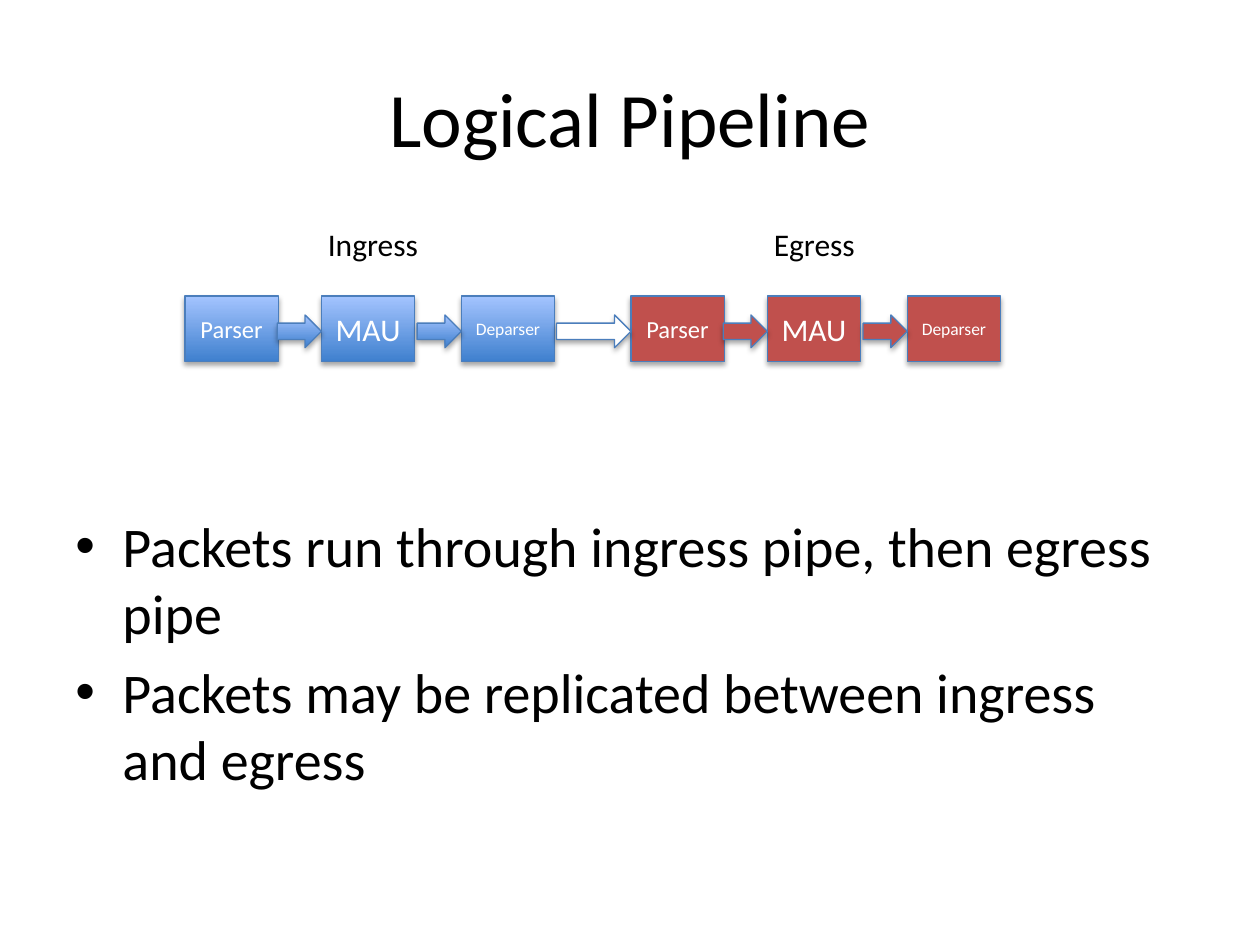
import pptx
import pptx.util
import pptx.dml.color
import pptx.enum.shapes
import pptx.enum.text
import pptx.oxml
import pptx.oxml.ns

Cm, Pt = pptx.util.Cm, pptx.util.Pt
Kind = pptx.enum.shapes.MSO_SHAPE
Align = pptx.enum.text.PP_ALIGN
Anchor = pptx.enum.text.MSO_ANCHOR

THEME = {
    "font": "Calibri",
    "text": "000000", "white": "FFFFFF", "line": "4B7EBC",
    "blue": ("3F80CE", "A4C4FF"), "red": "C0504D",
    "title": 44, "body": 32, "label": 18,
}
TITLE = "Logical Pipeline"
POINTS = [
    "Packets run through ingress pipe, then egress pipe",
    "Packets may be replicated between ingress and egress",
]
STAGES = [("Parser", 14, 0), ("MAU", 18, 2.75), ("Deparser", 10, 5.57)]
PIPES = [
    {"name": "Ingress", "left": 3.73, "fill": "blue", "wide": 2.36},
    {"name": "Egress", "left": 12.72, "fill": "red", "wide": 2.18},
]
BOX_TOP, BOX_W, BOX_H = 5.97, 1.88, 1.32
ARROW_TOP, ARROW_W, ARROW_H, LINK_W = 6.35, 0.89, 0.66, 1.5
LABEL_TOP, LABEL_H, LABEL_IN = 4.42, 1.02, 2.63
NS = pptx.oxml.ns.nsdecls("a")
SHADOW = (
    f'<a:outerShdw {NS} blurRad="{Pt(3.1)}" dist="{Pt(1.8)}" dir="5400000" rotWithShape="0">'
    '<a:srgbClr val="000000"><a:alpha val="35000"/></a:srgbClr></a:outerShdw>'
)
BULLET = (
    f'<a:spcBef {NS}><a:spcPct val="20000"/></a:spcBef>',
    f'<a:buFont {NS} typeface="Arial"/>',
    f'<a:buChar {NS} char="&#8226;"/>',
)


def rgb(code):
    return pptx.dml.color.RGBColor.from_string(code)


def style(frame, size, color, align):
    for para in frame.paragraphs:
        para.alignment = align
        for run in para.runs:
            run.font.name = THEME["font"]
            run.font.size = Pt(size)
            run.font.color.rgb = rgb(color)


def paint(shape, fill):
    color = THEME[fill]
    if isinstance(color, tuple):
        shape.fill.gradient()
        shape.fill.gradient_angle = 90
        for stop, code in zip(shape.fill.gradient_stops, color):
            stop.color.rgb = rgb(code)
    else:
        shape.fill.solid()
        shape.fill.fore_color.rgb = rgb(color)
    shape.line.color.rgb = rgb(THEME["line"])
    shape.line.width = Pt(0.75)
    shape.shadow.inherit = False
    effect = shape.element.spPr.find(pptx.oxml.ns.qn("a:effectLst"))
    effect.append(pptx.oxml.parse_xml(SHADOW))


def add_box(slide, left, text, size, fill):
    box = slide.shapes.add_shape(Kind.RECTANGLE, Cm(left), Cm(BOX_TOP), Cm(BOX_W), Cm(BOX_H))
    paint(box, fill)
    box.text_frame.text = text
    box.text_frame.vertical_anchor = Anchor.MIDDLE
    style(box.text_frame, size, THEME["white"], Align.CENTER)


def add_arrow(slide, tip, width, fill):
    arrow = slide.shapes.add_shape(
        Kind.RIGHT_ARROW, Cm(tip - width), Cm(ARROW_TOP), Cm(width), Cm(ARROW_H))
    paint(arrow, fill)


def add_text(slide, left, top, width, height, text, size, wrap):
    frame = slide.shapes.add_textbox(Cm(left), Cm(top), Cm(width), Cm(height)).text_frame
    frame.word_wrap = wrap
    frame.text = text
    style(frame, size, THEME["text"], Align.LEFT)
    return frame


deck = pptx.Presentation()
deck.slide_width, deck.slide_height = Cm(25.4), Cm(19.05)
slide = deck.slides.add_slide(deck.slide_layouts[5])

title = slide.shapes.title
title.left, title.top, title.width, title.height = Cm(1.27), Cm(0.76), Cm(22.86), Cm(3.18)
title.text_frame.text = TITLE
title.text_frame.vertical_anchor = Anchor.MIDDLE
style(title.text_frame, THEME["title"], THEME["text"], Align.CENTER)

body = add_text(slide, 1.27, 10.19, 22.86, 6.83, "\n".join(POINTS), THEME["body"], True)
for para in body.paragraphs:
    props = para._p.get_or_add_pPr()
    props.set("marL", str(Cm(0.95)))
    props.set("indent", str(-Cm(0.95)))
    for part in BULLET:
        props.append(pptx.oxml.parse_xml(part))

for pipe in PIPES:
    for text, size, shift in STAGES:
        add_box(slide, pipe["left"] + shift, text, size, pipe["fill"])
    for text, size, shift in STAGES[1:]:
        add_arrow(slide, pipe["left"] + shift, ARROW_W, pipe["fill"])
    add_text(slide, pipe["left"] + LABEL_IN, LABEL_TOP, pipe["wide"], LABEL_H,
             pipe["name"], THEME["label"], False)
add_arrow(slide, PIPES[1]["left"], LINK_W, "white")

deck.save("out.pptx")
